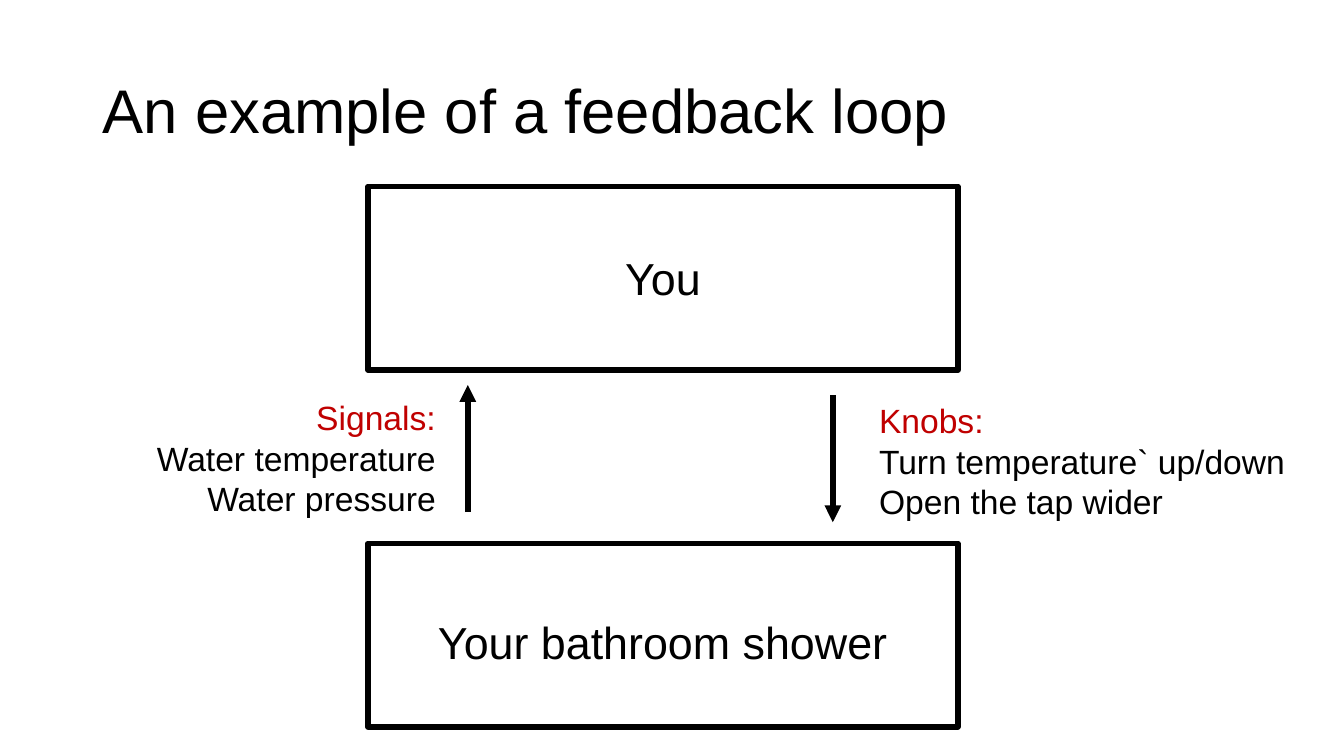
import pptx
import pptx.util
import pptx.dml.color
import pptx.enum.shapes
import pptx.enum.text
import pptx.oxml
import pptx.oxml.ns
from pptx.util import Inches, Pt

BLACK = pptx.dml.color.RGBColor(0x00, 0x00, 0x00)
RED = pptx.dml.color.RGBColor(0xC0, 0x00, 0x00)
ALIGN = pptx.enum.text.PP_ALIGN
ANCHOR = pptx.enum.text.MSO_ANCHOR
STROKE = Pt(4)

SLIDE_W, SLIDE_H = 13.33, 7.5
BOX_LEFT, BOX_W, BOX_H = 3.65, 5.85, 1.82
LABEL_INSET, LABEL_H = 0.26, 0.64
ARROW_LENGTH = 1.26


def add_text(slide, box, lines, size, align=ALIGN.LEFT, anchor=ANCHOR.TOP, spacing=1.0):
    """Place (text, colour) lines as paragraphs in box (left, top, width, height)."""
    frame = slide.shapes.add_textbox(*map(Inches, box)).text_frame
    frame.word_wrap = True
    frame.vertical_anchor = anchor
    for index, (text, colour) in enumerate(lines):
        paragraph = frame.paragraphs[0] if index == 0 else frame.add_paragraph()
        paragraph.text = text
        paragraph.alignment = align
        paragraph.line_spacing = spacing
        paragraph.font.color.rgb = colour
        for name, value in {"name": "Arial", "size": Pt(size)}.items():
            setattr(paragraph.font, name, value)


def add_system(slide, box, name, label_offset):
    """Draw an outlined box with its name label_offset below the box's top."""
    left, top, width, _ = box
    outline = slide.shapes.add_shape(
        pptx.enum.shapes.MSO_SHAPE.RECTANGLE, *map(Inches, box))
    outline.shadow.inherit = False
    outline.fill.background()
    outline.line.color.rgb = BLACK
    outline.line.width = STROKE
    label_box = (left + LABEL_INSET, top + label_offset,
                 width - 2 * LABEL_INSET, LABEL_H)
    add_text(slide, label_box, [(name, BLACK)], 32, ALIGN.CENTER)


def add_flow(slide, x, start, end):
    """Draw a vertical arrow pointing at end."""
    arrow = slide.shapes.add_connector(
        pptx.enum.shapes.MSO_CONNECTOR.STRAIGHT, *map(Inches, (x, start, x, end)))
    arrow.line.color.rgb = BLACK
    arrow.line.width = STROKE
    head = pptx.oxml.parse_xml(
        f'<a:tailEnd {pptx.oxml.ns.nsdecls("a")} type="triangle"/>')
    arrow.line._get_or_add_ln().append(head)
    properties = arrow._element.spPr
    properties.append(pptx.oxml.parse_xml(
        f'<a:effectLst {pptx.oxml.ns.nsdecls("a")}/>'))


def add_channel(slide, box, heading, items, align):
    lines = [(heading, RED)] + [(item, BLACK) for item in items]
    add_text(slide, box, lines, 24, align)


def build_feedback_slide(slide):
    add_text(slide, (0.92, 0.4, 11.5, 1.45),
             [("An example of a feedback loop", BLACK)], 44,
             anchor=ANCHOR.MIDDLE, spacing=0.9)

    for name, top, label_offset in (("You", 1.85, 0.59),
                                    ("Your bathroom shower", 5.39, 0.66)):
        add_system(slide, (BOX_LEFT, top, BOX_W, BOX_H), name, label_offset)

    add_flow(slide, 4.64, 3.82 + ARROW_LENGTH, 3.82)
    add_flow(slide, 8.26, 3.92, 3.92 + ARROW_LENGTH)

    add_channel(slide, (0.57, 3.89, 3.85, 1.31), "Signals:",
                ["Water temperature", "Water pressure"], ALIGN.RIGHT)
    add_channel(slide, (8.62, 3.92, 4.26, 1.31), "Knobs:",
                ["Turn temperature` up/down", "Open the tap wider"], ALIGN.LEFT)


def main():
    deck = pptx.Presentation()
    deck.slide_width, deck.slide_height = Inches(SLIDE_W), Inches(SLIDE_H)
    build_feedback_slide(deck.slides.add_slide(deck.slide_layouts[6]))
    deck.save("out.pptx")


if __name__ == "__main__":
    main()
